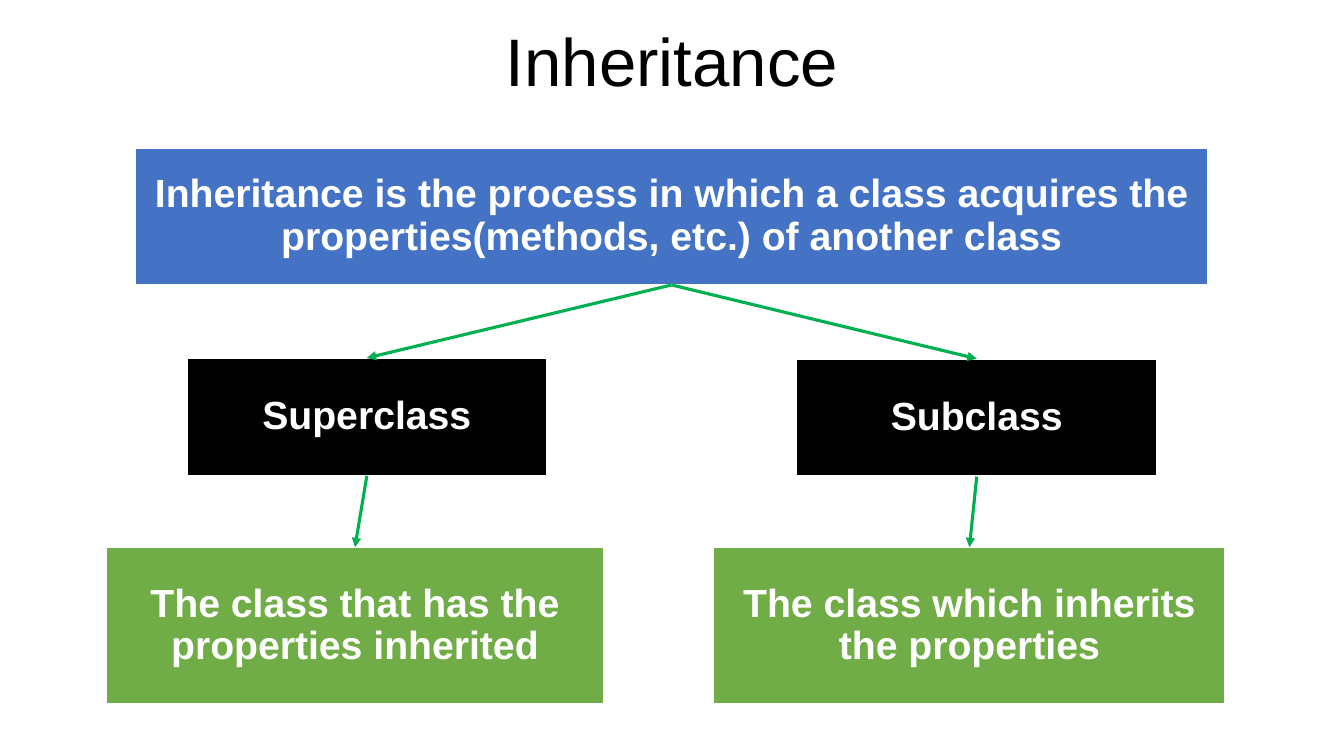
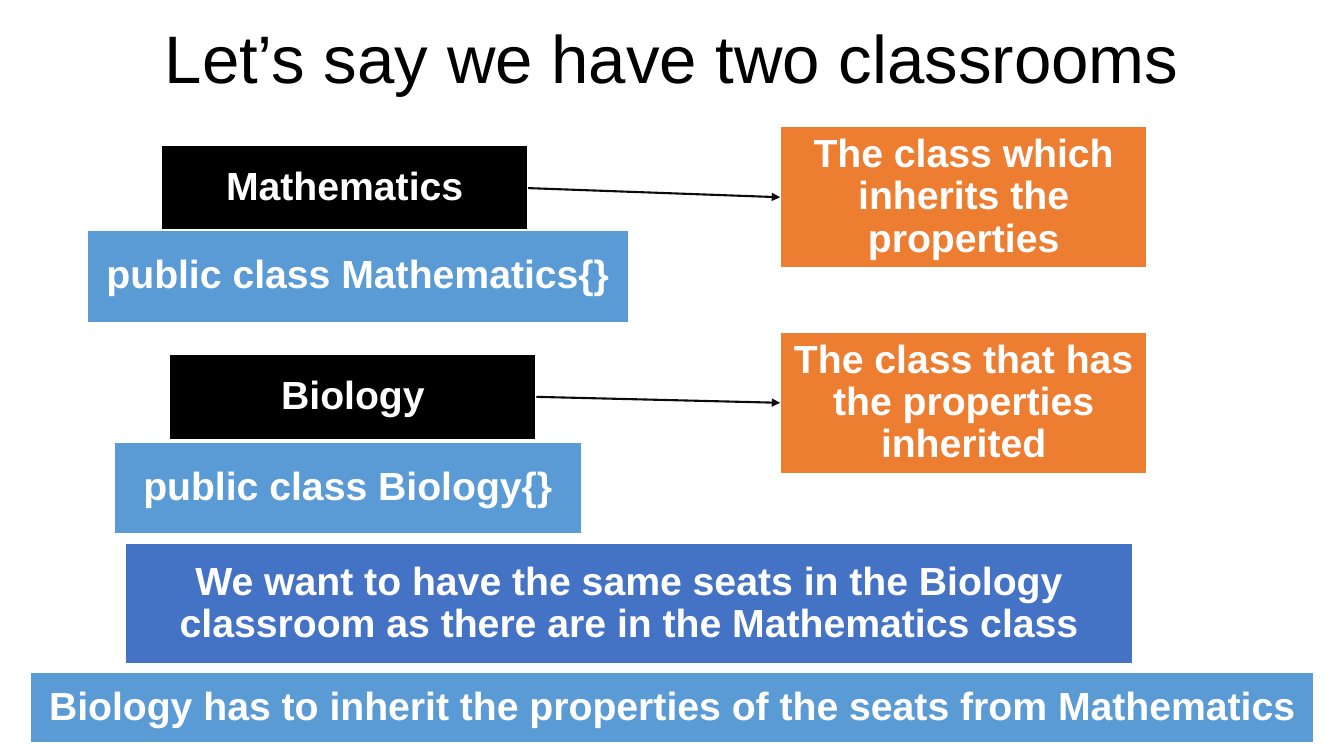
from lxml.etree import SubElement
from pptx import Presentation
from pptx.dml.color import RGBColor
from pptx.enum.shapes import MSO_CONNECTOR, MSO_SHAPE
from pptx.enum.text import MSO_ANCHOR, PP_ALIGN
from pptx.oxml.ns import qn
from pptx.util import Cm, Pt

COLORS = {
    "blue": "4472C4", "sky": "5B9BD5", "green": "70AD47", "orange": "ED7D31",
    "black": "000000", "white": "FFFFFF", "arrow": "00B050", "ink": "0C0C0C",
}
SLIDE_W, SLIDE_H = 33.87, 19.05
TITLE_FONT = {"name": "Arial", "size": Pt(48), "bold": False}
BOX_FONT = {"name": "Arial", "size": Pt(28), "bold": True}
FRAME = {"word_wrap": True, "vertical_anchor": MSO_ANCHOR.MIDDLE}
PARAGRAPH = {"alignment": PP_ALIGN.CENTER, "line_spacing": 0.9}
TOP, LEFT, BOTTOM, RIGHT = range(4)

# Sizes in cm of boxes that come in pairs
ROLE = (9.09, 2.97)
ROOM = (9.25, 2.16)
MEANING = (9.25, 3.58)
INHERITS = "The class which inherits the properties"
INHERITED = "The class that has the properties inherited"

# Boxes: key: (text, colour, left, top, (width, height)) in cm
# Arrows: (from box, side, to box, side)
SLIDES = [
    {
        "title": "Inheritance", "title_height": 3.25,
        "boxes": {
            "definition": ("Inheritance is the process in which a class acquires "
                           "the properties(methods, etc.) of another class",
                           "blue", 3.4, 3.73, (27.05, 3.45)),
            "superclass": ("Superclass", "black", 4.7, 9.02, ROLE),
            "subclass": ("Subclass", "black", 20.07, 9.04, ROLE),
            "inherited": (INHERITED, "green", 2.67, 13.79, (12.55, 3.96)),
            "inherits": (INHERITS, "green", 17.98, 13.79, (12.9, 3.96)),
        },
        "arrow_style": ("arrow", 2.25),
        "arrows": [
            ("definition", BOTTOM, "superclass", TOP),
            ("definition", BOTTOM, "subclass", TOP),
            ("superclass", BOTTOM, "inherited", TOP),
            ("subclass", BOTTOM, "inherits", TOP),
        ],
    },
    {
        "title": "Let’s say we have two classrooms", "title_height": 3.12,
        "boxes": {
            "mathematics": ("Mathematics", "black", 4.06, 3.66, ROOM),
            "mathematics code": ("public class Mathematics{}", "sky",
                                 2.18, 5.79, (13.67, 2.34)),
            "inherits": (INHERITS, "orange", 19.66, 3.18, MEANING),
            "biology": ("Biology", "black", 4.27, 8.92, ROOM),
            "biology code": ("public class Biology{}", "sky",
                             2.87, 11.13, (11.79, 2.34)),
            "inherited": (INHERITED, "orange", 19.66, 8.36, MEANING),
            "wish": ("We want to have the same seats in the Biology classroom "
                     "as there are in the Mathematics class",
                     "blue", 3.15, 13.69, (25.4, 3.05)),
            "result": ("Biology has to inherit the properties of the seats "
                       "from Mathematics", "sky", 0.76, 16.94, (32.36, 1.78)),
        },
        "arrow_style": ("ink", 1.5),
        "arrows": [
            ("mathematics", RIGHT, "inherits", LEFT),
            ("biology", RIGHT, "inherited", LEFT),
        ],
    },
]


def color(key):
    return RGBColor.from_string(COLORS[key])


def apply(target, values):
    for attribute, value in values.items():
        setattr(target, attribute, value)


def write(frame, text, font, text_color):
    apply(frame, FRAME)
    paragraph = frame.paragraphs[0]
    apply(paragraph, PARAGRAPH)
    run = paragraph.add_run()
    run.text = text
    apply(run.font, font)
    run.font.color.rgb = color(text_color)


def add_title(slide, text, height):
    title = slide.shapes.add_textbox(0, 0, Cm(SLIDE_W), Cm(height))
    write(title.text_frame, text, TITLE_FONT, "black")


def add_box(slide, text, fill, left, top, size):
    box = slide.shapes.add_shape(
        MSO_SHAPE.RECTANGLE, *(Cm(v) for v in (left, top, *size)))
    box.shadow.inherit = False
    box.fill.solid()
    box.fill.fore_color.rgb = color(fill)
    box.line.color.rgb = color("white")
    box.line.width = Pt(1.5)
    write(box.text_frame, text, BOX_FONT, "white")
    return box


def add_arrow(slide, source, source_side, target, target_side, line_color, width):
    arrow = slide.shapes.add_connector(MSO_CONNECTOR.STRAIGHT, 0, 0, 0, 0)
    arrow.begin_connect(source, source_side)
    arrow.end_connect(target, target_side)
    arrow.line.color.rgb = color(line_color)
    arrow.line.width = Pt(width)
    SubElement(arrow.line._get_or_add_ln(), qn("a:tailEnd"), type="triangle")
    SubElement(arrow._element.spPr, qn("a:effectLst"))


def main():
    deck = Presentation()
    deck.slide_width, deck.slide_height = Cm(SLIDE_W), Cm(SLIDE_H)
    for content in SLIDES:
        slide = deck.slides.add_slide(deck.slide_layouts[6])
        add_title(slide, content["title"], content["title_height"])
        boxes = {key: add_box(slide, *box) for key, box in content["boxes"].items()}
        for source, source_side, target, target_side in content["arrows"]:
            add_arrow(slide, boxes[source], source_side, boxes[target], target_side,
                      *content["arrow_style"])
    deck.save("out.pptx")


if __name__ == "__main__":
    main()
